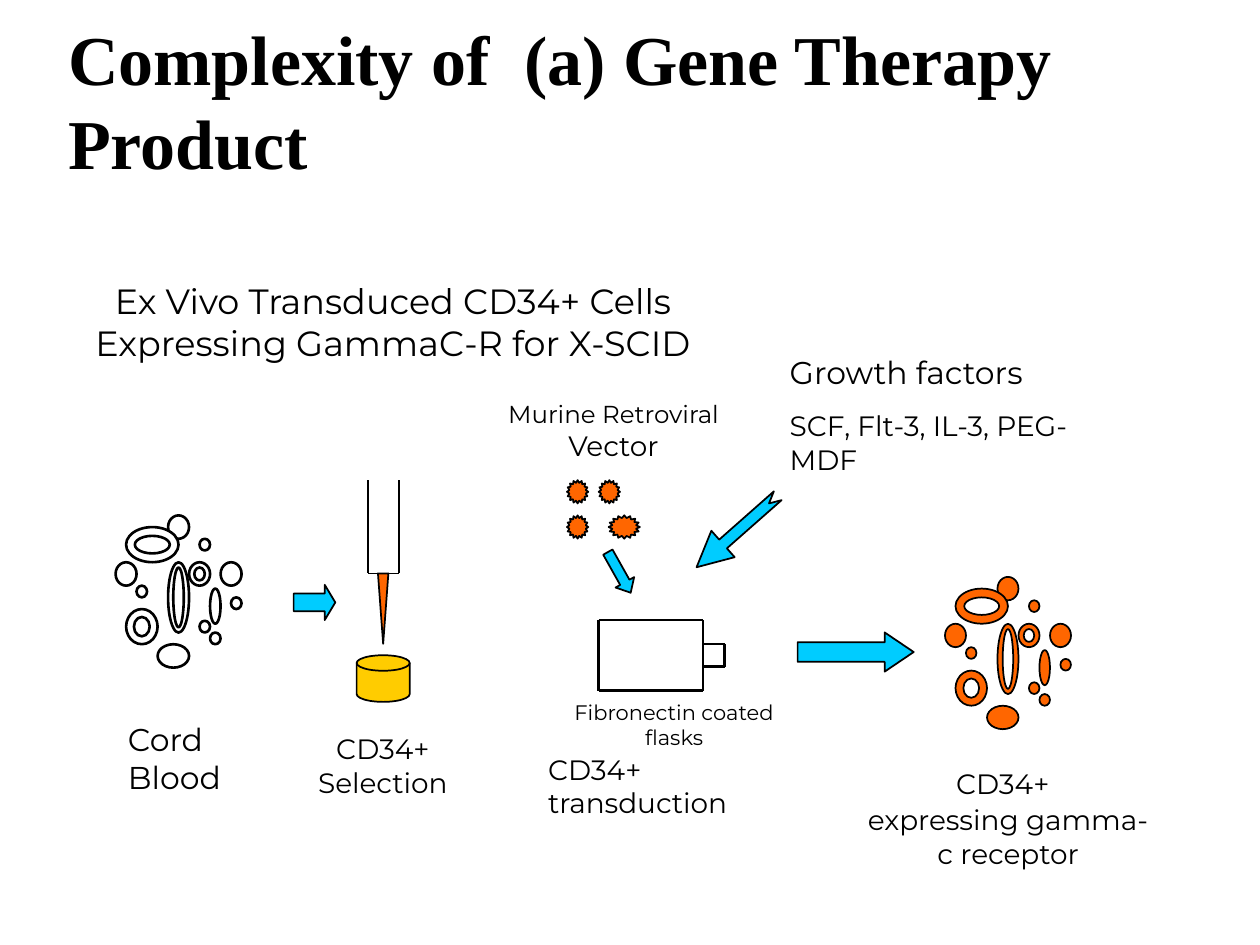
from dataclasses import dataclass

from lxml.etree import SubElement
from pptx import Presentation
from pptx.dml.color import RGBColor
from pptx.enum.shapes import MSO_CONNECTOR, MSO_SHAPE
from pptx.enum.text import MSO_ANCHOR, MSO_AUTO_SIZE, PP_ALIGN
from pptx.oxml.ns import qn
from pptx.util import Cm, Pt


@dataclass(frozen=True)
class Theme:
    black: RGBColor = RGBColor(0x00, 0x00, 0x00)
    white: RGBColor = RGBColor(0xFF, 0xFF, 0xFF)
    orange: RGBColor = RGBColor(0xFF, 0x66, 0x00)
    yellow: RGBColor = RGBColor(0xFF, 0xCC, 0x00)
    blue: RGBColor = RGBColor(0x00, 0xCC, 0xFF)
    title_font: str = "Times New Roman"
    body_font: str = "Montserrat"
    title: int = 40
    heading: int = 20
    large: int = 18
    label: int = 16
    small: int = 14
    caption: int = 12
    spacer: int = 24
    thin: float = 1
    thick: float = 1.5


@dataclass(frozen=True)
class Box:
    """A region in centimetres."""
    left: float
    top: float
    width: float = 0
    height: float = 0

    def inner(self, left, top, width, height):
        return Box(self.left + left, self.top + top, width, height)

    def lengths(self):
        return [Cm(value) for value in (self.left, self.top, self.width, self.height)]


THEME = Theme()

# Column, row, width and height of each cell, in grid steps of the cluster
CLUSTER_COLUMNS, CLUSTER_ROWS = 12, 13
ROUND_CELLS = [(0, 4, 2, 2), (5, 0, 2, 2), (2, 6, 1, 1), (4, 11, 3, 2), (9, 6.25, 1, 3),
               (8, 2, 1, 1), (8, 9, 1, 1), (10, 4, 2, 2), (9, 10, 1, 1), (11, 7, 1, 1)]
RING_CELLS = [(7, 4, 2, 2), (5, 4, 2, 6), (1, 8, 3, 3), (1, 1, 5, 3)]


def set_values(target, values):
    for name, value in values.items():
        setattr(target, name, value)


def add_label(slide, box, paragraphs, align=PP_ALIGN.LEFT, anchor=MSO_ANCHOR.TOP):
    """Each paragraph is a list of (text, size) runs."""
    frame = slide.shapes.add_textbox(*box.lengths()).text_frame
    set_values(frame, {"word_wrap": True, "vertical_anchor": anchor,
                       "auto_size": MSO_AUTO_SIZE.SHAPE_TO_FIT_TEXT})
    for index, runs in enumerate(paragraphs):
        paragraph = frame.add_paragraph() if index else frame.paragraphs[0]
        paragraph.alignment = align
        for text, size in runs:
            run = paragraph.add_run()
            run.text = text
            set_values(run.font, {"name": THEME.body_font, "size": Pt(size)})
            run.font.color.rgb = THEME.black


def add_figure(slide, kind, box, color, weight=THEME.thin, adjustments=(), rotation=0):
    shape = slide.shapes.add_shape(kind, *box.lengths())
    shape.shadow.inherit = False
    shape.rotation = rotation
    shape.fill.solid()
    shape.fill.fore_color.rgb = color
    shape.line.color.rgb = THEME.black
    shape.line.width = Pt(weight)
    for index, value in enumerate(adjustments):
        shape.adjustments[index] = value


def add_lines(slide, box, segments, weight):
    for segment in segments:
        x1, y1, x2, y2 = segment
        connector = slide.shapes.add_connector(
            MSO_CONNECTOR.STRAIGHT, Cm(box.left + x1), Cm(box.top + y1),
            Cm(box.left + x2), Cm(box.top + y2))
        connector.line.color.rgb = THEME.black
        connector.line.width = Pt(weight)
        SubElement(connector._element.spPr, qn("a:effectLst"))


def add_cells(slide, box, color, weight):
    step_x, step_y = box.width / CLUSTER_COLUMNS, box.height / CLUSTER_ROWS
    for kind, cells in ((MSO_SHAPE.OVAL, ROUND_CELLS), (MSO_SHAPE.DONUT, RING_CELLS)):
        for column, row, width, height in cells:
            cell = box.inner(column * step_x, row * step_y, width * step_x, height * step_y)
            add_figure(slide, kind, cell, color, weight)


def add_title(slide, box):
    title = slide.shapes.title
    set_values(title, dict(zip(("left", "top", "width", "height"), box.lengths())))
    frame = title.text_frame
    frame.text = "Complexity of  (a) Gene Therapy Product"
    set_values(frame, {"vertical_anchor": MSO_ANCHOR.BOTTOM, "word_wrap": True,
                       "auto_size": MSO_AUTO_SIZE.NONE})
    paragraph = frame.paragraphs[0]
    paragraph.alignment = PP_ALIGN.LEFT
    font = paragraph.runs[0].font
    set_values(font, {"name": THEME.title_font, "size": Pt(THEME.title), "bold": True})
    font.color.rgb = THEME.black


def add_heading(slide, box):
    text = "Ex Vivo Transduced CD34+ Cells Expressing GammaC-R for X-SCID"
    add_label(slide, box, [[(text, THEME.heading)]], PP_ALIGN.CENTER, MSO_ANCHOR.MIDDLE)


def add_cord_blood(slide, box):
    add_cells(slide, box.inner(0, 0, 2.54, 3.07), THEME.white, THEME.thick)
    add_label(slide, box.inner(0, 4.01, 2.54, 1.78), [[("Cord Blood", THEME.large)]])


def add_selection(slide, box):
    add_figure(slide, MSO_SHAPE.RIGHT_ARROW, box.inner(0, 2.11, 0.84, 0.71),
               THEME.blue, adjustments=(0.5, 0.3))
    # Open column, its stream and the collecting dish
    left, right, bottom = 1.5, 2.13, 1.88
    add_lines(slide, box, [(left, 0, left, bottom), (right, bottom, right, 0),
                           (left, bottom, right, bottom)], THEME.thin)
    add_figure(slide, MSO_SHAPE.FLOWCHART_MERGE, box.inner(1.7, bottom, 0.21, 1.42), THEME.orange)
    add_figure(slide, MSO_SHAPE.FLOWCHART_MAGNETIC_DISK,
               box.inner(1.27, 3.53, 1.07, 0.94), THEME.yellow)
    add_label(slide, box.inner(0, 4.95, 3.6, 1.63),
              [[("CD34+", THEME.label)], [("Selection", THEME.label)]], PP_ALIGN.CENTER)


def add_transduction(slide, box):
    # Vector particles
    add_label(slide, box.inner(0, 0, 5.28, 1.52),
              [[("Murine Retroviral ", THEME.small), ("Vector", THEME.label)]], PP_ALIGN.CENTER)
    for left, top, width in ((1.7, 1.76, 0.43), (2.34, 1.76, 0.43),
                             (1.7, 2.47, 0.43), (2.54, 2.47, 0.63)):
        add_figure(slide, MSO_SHAPE.STAR_16_POINT, box.inner(left, top, width, 0.47),
                   THEME.orange, adjustments=(0.39,))
    add_figure(slide, MSO_SHAPE.DOWN_ARROW, box.inner(2.54, 3.15, 0.43, 0.94),
               THEME.blue, adjustments=(0.5, 0.56), rotation=330.7)
    # Flask body and neck
    left, shoulder, mouth = 2.34, 4.44, 4.88
    top, neck_top, neck_bottom, bottom = 4.58, 5.06, 5.52, 6
    add_lines(slide, box, [
        (left, top, shoulder, top), (left, top, left, bottom),
        (left, bottom, shoulder, bottom), (shoulder, top, shoulder, bottom),
        (shoulder, neck_top, mouth, neck_top), (shoulder, neck_bottom, mouth, neck_bottom),
        (mouth, neck_top, mouth, neck_bottom)], THEME.thick)
    add_label(slide, box.inner(1.14, 6.05, 5.44, 0.76),
              [[("Fibronectin coated flasks", THEME.caption)]], PP_ALIGN.CENTER)
    add_label(slide, box.inner(1.07, 7.12, 5.74, 0.94), [[("CD34+ transduction", THEME.label)]])


def add_growth_factors(slide, box):
    add_label(slide, box.inner(1.9, 0, 7.62, 1.02), [[("Growth factors", THEME.large)]])
    add_label(slide, box.inner(1.9, 1.12, 6.78, 1.63),
              [[("SCF, Flt-3, IL-3, PEG-MDF", THEME.label)]])
    add_figure(slide, MSO_SHAPE.NOTCHED_RIGHT_ARROW, box.inner(0, 3.37, 2.18, 0.71),
               THEME.blue, adjustments=(0.33, 1), rotation=138.6)


def add_product(slide, box):
    add_figure(slide, MSO_SHAPE.RIGHT_ARROW, box.inner(0, 1.12, 2.34, 0.79),
               THEME.blue, adjustments=(0.5, 0.74))
    add_cells(slide, box.inner(2.97, 0, 2.54, 3.07), THEME.orange, THEME.thin)
    add_label(slide, box.inner(1.07, 3.41, 6.35, 2.64),
              [[("CD34+", THEME.label), (" ", THEME.spacer)],
               [("expressing gamma-c receptor", THEME.label)]], PP_ALIGN.CENTER)


def main():
    presentation = Presentation()
    set_values(presentation, {"slide_width": Cm(25.4), "slide_height": Cm(19.05)})
    slide = presentation.slides.add_slide(presentation.slide_layouts[5])
    add_title(slide, Box(1.12, 0.64, 21.59, 3.18))
    add_heading(slide, Box(0.84, 5.51, 14.17, 1.96))
    # Process, from left to right
    add_cord_blood(slide, Box(2.33, 10.39))
    add_selection(slide, Box(5.92, 9.68))
    add_transduction(slide, Box(9.73, 7.92))
    add_growth_factors(slide, Box(13.77, 6.99))
    add_product(slide, Box(16.08, 11.63))
    presentation.save("out.pptx")


if __name__ == "__main__":
    main()
